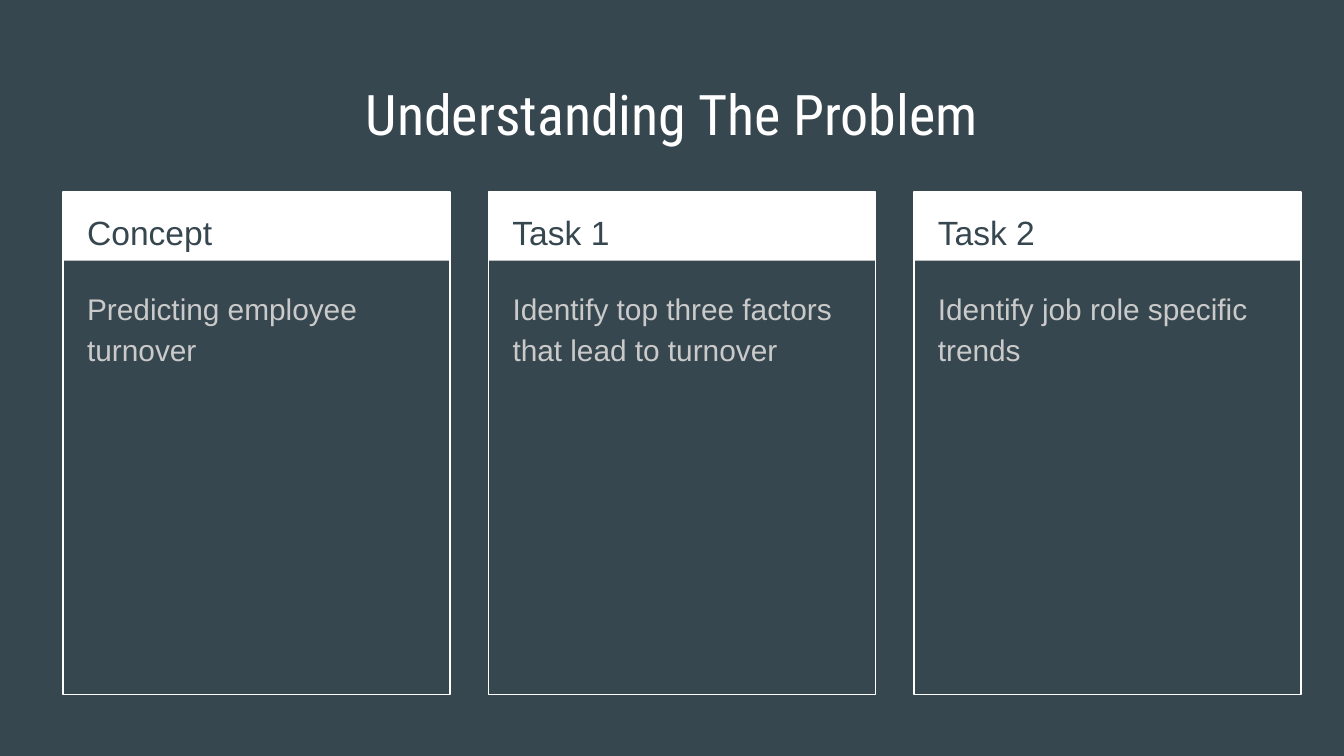
from dataclasses import dataclass

from pptx import Presentation
from pptx.dml.color import RGBColor
from pptx.enum.shapes import MSO_SHAPE
from pptx.enum.text import MSO_ANCHOR, PP_ALIGN
from pptx.util import Inches, Pt


@dataclass(frozen=True)
class Theme:
    """Colours, fonts and type sizes of the slide."""
    slate: RGBColor = RGBColor.from_string("37474F")
    white: RGBColor = RGBColor.from_string("FFFFFF")
    grey: RGBColor = RGBColor.from_string("CACACA")
    title_font: str = "Roboto Condensed"
    text_font: str = "Arial"
    title_size: int = 30
    heading_size: int = 18
    body_size: int = 16


THEME = Theme()
CARDS = [
    ("Concept", "Predicting employee turnover"),
    ("Task 1", "Identify top three factors that lead to turnover"),
    ("Task 2", "Identify job role specific trends"),
]


def add_text(page, box, text, font, size, color, align=PP_ALIGN.LEFT, spacing=1.15):
    """Place one top-anchored paragraph in the box."""
    frame = page.shapes.add_textbox(*map(Inches, box)).text_frame
    frame.word_wrap = True
    frame.vertical_anchor = MSO_ANCHOR.TOP
    frame.margin_left = frame.margin_right = Inches(0.1)
    frame.margin_top = frame.margin_bottom = Inches(0.1)
    para = frame.paragraphs[0]
    para.text = text
    para.alignment = align
    para.line_spacing = spacing
    para.font.name = font
    para.font.size = Pt(size)
    para.font.color.rgb = color


def add_panel(page, box, filled):
    """Draw a white rectangle, either filled or outlined."""
    panel = page.shapes.add_shape(MSO_SHAPE.RECTANGLE, *map(Inches, box))
    panel.shadow.inherit = False
    if filled:
        panel.fill.solid()
        panel.fill.fore_color.rgb = THEME.white
        panel.line.fill.background()
    else:
        panel.fill.background()
        panel.line.color.rgb = THEME.white
        panel.line.width = Pt(0.75)


def add_card(page, box, heading, body):
    """Build a card with a filled heading band and an outlined body."""
    left, top, width, height = box
    add_panel(page, (left, top, width, 0.51), filled=True)
    add_panel(page, box, filled=False)
    add_text(page, (left + 0.08, top, width - 0.15, 0.5), heading,
             THEME.text_font, THEME.heading_size, THEME.slate)
    add_text(page, (left + 0.08, top + 0.59, width - 0.17, height - 0.68), body,
             THEME.text_font, THEME.body_size, THEME.grey)


def add_cards(page, box, cards, card_width):
    """Spread the cards evenly across the box."""
    left, top, width, height = box
    step = (width - card_width) / (len(cards) - 1)
    for index, (heading, body) in enumerate(cards):
        add_card(page, (left + index * step, top, card_width, height), heading, body)


def main():
    """Build the slide and save the deck."""
    deck = Presentation()
    deck.slide_width = Inches(10)
    deck.slide_height = deck.slide_width * 9 // 16
    page = deck.slides.add_slide(deck.slide_layouts[6])
    page.background.fill.solid()
    page.background.fill.fore_color.rgb = THEME.slate
    add_text(page, (0.34, 0.49, 9.32, 0.63), "Understanding The Problem",
             THEME.title_font, THEME.title_size, THEME.white, PP_ALIGN.CENTER, 1)
    add_cards(page, (0.47, 1.43, 9.21, 3.74), CARDS, 2.88)
    deck.save("out.pptx")


if __name__ == "__main__":
    main()
